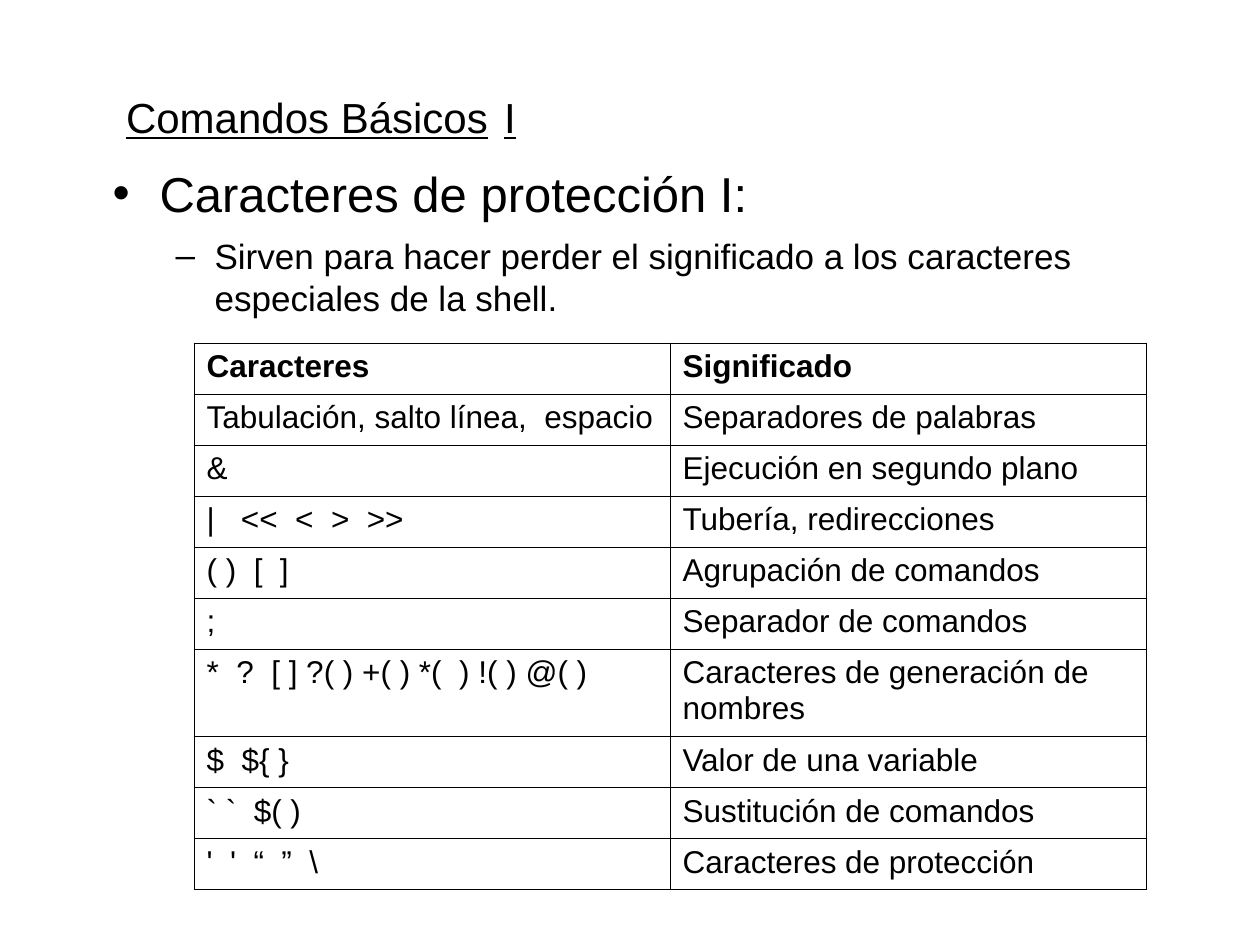
import lxml.etree
import pptx
import pptx.dml.color
import pptx.enum.text
import pptx.oxml.ns
import pptx.util

SCALE = 914400 / 126
FONT = "Arial"
COLORS = {"ink": "000000"}
ROWS = [
    ("Caracteres", "Significado"),
    ("Tabulación, salto línea,  espacio", "Separadores de palabras"),
    ("&", "Ejecución en segundo plano"),
    ("|   <<  <  >  >>", "Tubería, redirecciones"),
    ("( )  [  ]", "Agrupación de comandos"),
    (";", "Separador de comandos"),
    ("*  ?  [ ] ?( ) +( ) *(  ) !( ) @( )", "Caracteres de generación de nombres"),
    ("$  ${ }", "Valor de una variable"),
    ("` `  $( )", "Sustitución de comandos"),
    ("'  '  “  ”  \\", "Caracteres de protección"),
]
GENERATION_ROW = 6


def px(length):
    """Turn px into EMU."""
    return pptx.util.Emu(round(length * SCALE))


def add_child(parent, tag, **attributes):
    """Append a DrawingML element and return it."""
    values = {key: str(value) for key, value in attributes.items()}
    return lxml.etree.SubElement(parent, pptx.oxml.ns.qn(tag), values)


def add_run(paragraph, words, size, bold=False, underline=False):
    """Add one formatted run to a paragraph."""
    run = paragraph.add_run()
    run.text = words
    run.font.name = FONT
    run.font.size = pptx.util.Pt(size)
    run.font.bold = bold
    run.font.underline = underline
    run.font.color.rgb = pptx.dml.color.RGBColor.from_string(COLORS["ink"])


def place(placeholder, box):
    """Move a placeholder to its box and return its text frame."""
    placeholder.left, placeholder.top, placeholder.width, placeholder.height = map(px, box)
    frame = placeholder.text_frame
    frame.word_wrap = True
    frame.auto_size = pptx.enum.text.MSO_AUTO_SIZE.NONE
    return frame


def fill_title(title, box):
    """Write the underlined heading and its number at a tab stop."""
    frame = place(title, box)
    frame.margin_left = px(63)
    frame.vertical_anchor = pptx.enum.text.MSO_ANCHOR.MIDDLE
    heading = frame.paragraphs[0]
    heading.alignment = pptx.enum.text.PP_ALIGN.LEFT
    tabs = add_child(heading._p.get_or_add_pPr(), "a:tabLst")
    add_child(tabs, "a:tab", pos=px(378), algn="l")
    for words, underline in (("Comandos Básicos", True), ("\t", False), ("I", True)):
        add_run(heading, words, 24, underline=underline)


def fill_bullet(paragraph, words, size, level, bullet, margin, hanging, spacing):
    """Write one bulleted paragraph with a hanging indent."""
    paragraph.level = level
    paragraph.line_spacing = spacing
    paragraph.space_before = pptx.util.Pt(7)
    properties = paragraph._p.get_or_add_pPr()
    properties.set("marL", str(px(margin)))
    properties.set("indent", str(px(-hanging)))
    add_child(add_child(properties, "a:buClr"), "a:srgbClr", val=COLORS["ink"])
    add_child(properties, "a:buChar", char=bullet)
    add_run(paragraph, words, size)


def fill_body(body, box):
    """Write the topic and its explanation."""
    frame = place(body, box)
    fill_bullet(frame.paragraphs[0], "Caracteres de protección I:",
                28, 0, "•", 47, 47, 0.8)
    fill_bullet(frame.add_paragraph(),
                "Sirven para hacer perder el significado a los caracteres "
                "especiales de la shell.", 20, 1, "–", 102, 39, 1.0)


def draw_borders(cell):
    """Draw a thin line on the four sides of a cell."""
    properties = cell._tc.get_or_add_tcPr()
    for position, side in enumerate(("a:lnL", "a:lnR", "a:lnT", "a:lnB")):
        border = add_child(properties, side, w=pptx.util.Pt(0.57))
        add_child(add_child(border, "a:solidFill"), "a:srgbClr", val=COLORS["ink"])
        properties.insert(position, border)


def add_character_table(slide, box):
    """Add the table of special characters and their meanings."""
    table = slide.shapes.add_table(len(ROWS), 2, *map(px, box)).table
    table.first_row = table.horz_banding = False
    for index, words in enumerate(ROWS):
        table.rows[index].height = px(88 if index == GENERATION_ROW else 51)
        for cell, entry in zip(table.rows[index].cells, words):
            cell.fill.background()
            draw_borders(cell)
            add_run(cell.text_frame.paragraphs[0], entry, 18, bold=index == 0)


def main():
    """Build and save the slide."""
    presentation = pptx.Presentation()
    presentation.slide_width, presentation.slide_height = px(1260), px(945)
    slide = presentation.slides.add_slide(presentation.slide_layouts[1])
    fill_title(slide.shapes.title, (63, 38, 1134, 158))
    fill_body(slide.placeholders[1], (100, 169, 1134, 624))
    add_character_table(slide, (194, 343, 952, 547))
    presentation.save("out.pptx")


if __name__ == "__main__":
    main()
